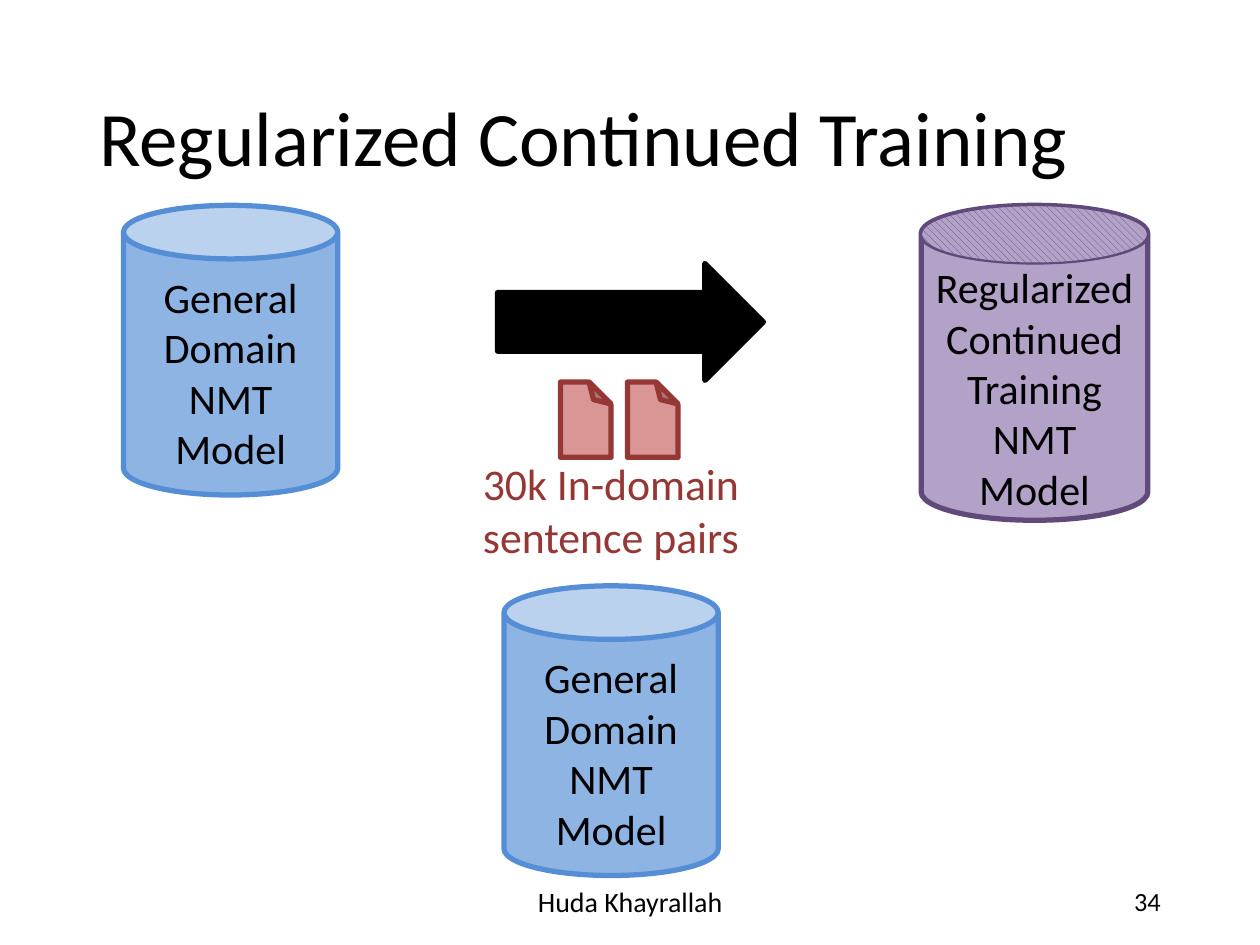
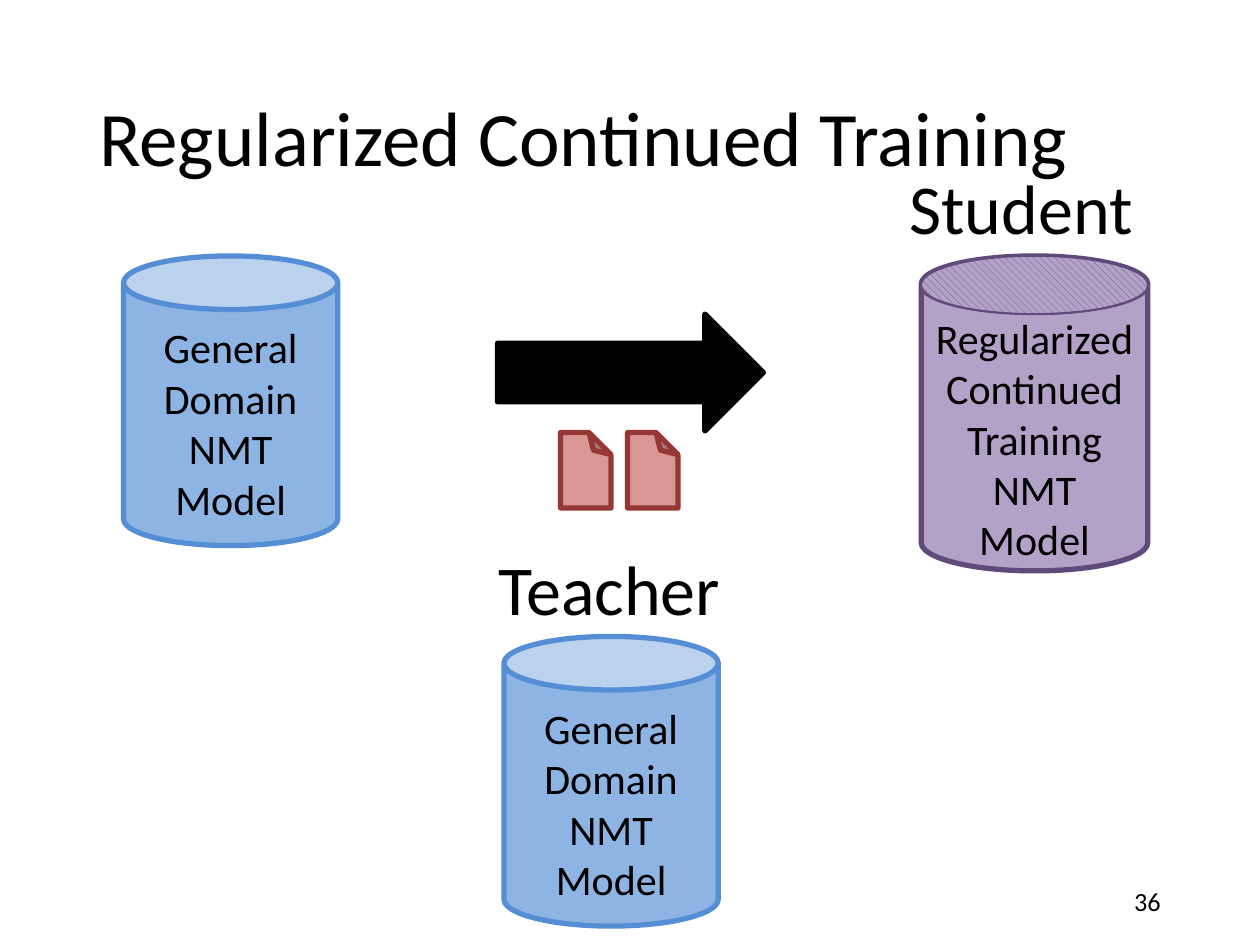
from lxml.etree import SubElement
from pptx import Presentation
from pptx.dml.color import RGBColor
from pptx.enum.dml import MSO_PATTERN
from pptx.enum.shapes import MSO_SHAPE
from pptx.enum.text import MSO_ANCHOR, PP_ALIGN
from pptx.oxml.ns import qn
from pptx.util import Cm, Pt

FONT = "Calibri"
BLACK = "000000"
BLUE, BLUE_EDGE = "8EB4E3", "558ED5"
PURPLE, PURPLE_EDGE = "B3A2C7", "604A7B"
RED, RED_EDGE = "D99694", "953735"

CAN_WIDTH, CAN_HEIGHT = 4.32, 5.84
TEACHER_LEFT, TEACHER_DROP = 10.16, 7.67
STUDENT_LEFT = 18.57
LABEL_HEIGHT = 1.96
GENERAL_MODEL = ["General Domain", "NMT", "Model"]
REGULARIZED_MODEL = ["Regularized", "Continued Training", "NMT", "Model"]


def color(hex_value):
    """Turn a hex string into a colour."""
    return RGBColor.from_string(hex_value)


def write(shape, lines, size, text_color=BLACK, align=PP_ALIGN.CENTER,
          anchor=MSO_ANCHOR.MIDDLE, wrap=True, line_spacing=None):
    """Write one paragraph for each line into a shape."""
    frame = shape.text_frame
    frame.word_wrap = wrap
    frame.vertical_anchor = anchor
    for index, line in enumerate(lines):
        paragraph = frame.add_paragraph() if index else frame.paragraphs[0]
        paragraph.alignment = align
        if line_spacing:
            paragraph.line_spacing = line_spacing
        run = paragraph.add_run()
        run.text = line
        run.font.name = FONT
        run.font.size = Pt(size)
        run.font.color.rgb = color(text_color)


def add_text(slide, box, lines, size, **style):
    """Add a text box."""
    text_box = slide.shapes.add_textbox(*map(Cm, box))
    write(text_box, lines, size, **style)


def add_preset(slide, kind, box, fill, edge, edge_width=3):
    """Add a filled and outlined preset shape."""
    shape = slide.shapes.add_shape(kind, *map(Cm, box))
    shape.shadow.inherit = False
    shape.fill.solid()
    shape.fill.fore_color.rgb = color(fill)
    shape.line.color.rgb = color(edge)
    shape.line.width = Pt(edge_width)
    return shape


def add_model(slide, box, lines, fill, edge, top_inset):
    """Add a model cylinder with its name."""
    can = add_preset(slide, MSO_SHAPE.CAN, box, fill, edge)
    can.text_frame.margin_top = Cm(top_inset)
    write(can, lines, 24)


def add_general_model(slide, left, top):
    """Add the general domain model."""
    add_model(slide, (left, top, CAN_WIDTH, CAN_HEIGHT), GENERAL_MODEL, BLUE, BLUE_EDGE, 0.47)


def add_regularized_model(slide, left, top):
    """Add the regularized model with its hatched lid."""
    width = 4.57
    add_model(slide, (left, top, width, 6.35), REGULARIZED_MODEL, PURPLE, PURPLE_EDGE, 0.56)
    lid = add_preset(slide, MSO_SHAPE.OVAL, (left, top, width, 1.17), PURPLE, PURPLE_EDGE, 1)
    lid.fill.patterned()
    lid.fill.pattern = MSO_PATTERN.WIDE_DOWNWARD_DIAGONAL
    lid.fill.fore_color.rgb = color(PURPLE_EDGE)
    lid.fill.back_color.rgb = color(PURPLE)


def add_document(slide, left, top):
    """Add a page with its top right corner folded."""
    page = add_preset(slide, MSO_SHAPE.FOLDED_CORNER, (left, top, 1.02, 1.52), RED, RED_EDGE)
    page.rotation = 180
    properties = page.element.spPr
    properties.find(qn("a:xfrm")).set("flipH", "1")
    adjustments = properties.find(qn("a:prstGeom")).find(qn("a:avLst"))
    SubElement(adjustments, qn("a:gd"), name="adj", fmla="val 43500")


def add_training_diagram(slide, top):
    """Draw the training flow below the given top."""
    add_preset(slide, MSO_SHAPE.RIGHT_ARROW, (10.03, top + 1.17, 5.36, 2.36), BLACK, BLACK)
    add_general_model(slide, 2.49, top)
    add_general_model(slide, TEACHER_LEFT, top + TEACHER_DROP)
    for left in (12.65, 11.3):
        add_document(slide, left, top + 3.56)
    add_regularized_model(slide, STUDENT_LEFT, top)


def add_corpus_label(slide, top):
    """Name the training data under the documents."""
    add_text(slide, (8.71, top + 4.95, 7.21, 2.39), ["30k In-domain", "sentence pairs"], 25,
             text_color=RED_EDGE, anchor=MSO_ANCHOR.TOP)


def add_role_labels(slide, top):
    """Name the teacher and student models above their cylinders."""
    roles = (("Teacher", TEACHER_LEFT - 0.36, top + TEACHER_DROP),
             ("Student", STUDENT_LEFT - 0.49, top))
    for role, left, model_top in roles:
        add_text(slide, (left, model_top - LABEL_HEIGHT, 5.03, LABEL_HEIGHT), [role], 40,
                 align=PP_ALIGN.LEFT, anchor=MSO_ANCHOR.TOP, wrap=False)


def add_training_slide(presentation, number, top):
    """Add a slide with title, number and training diagram."""
    slide = presentation.slides.add_slide(presentation.slide_layouts[6])
    add_text(slide, (1.75, 1.02, 21.9, 3.68), ["Regularized Continued Training"], 44,
             align=PP_ALIGN.LEFT, line_spacing=0.9)
    add_training_diagram(slide, top)
    add_text(slide, (17.93, 17.65, 5.72, 1.02), [number], 15, align=PP_ALIGN.RIGHT)
    return slide


def main():
    """Build and save both slides."""
    presentation = Presentation()
    presentation.slide_width = Cm(25.4)
    presentation.slide_height = Cm(19.05)

    data_top = 4.14
    data_slide = add_training_slide(presentation, "34", data_top)
    add_corpus_label(data_slide, data_top)
    add_text(data_slide, (8.41, 17.65, 8.59, 1.02), ["Huda Khayrallah"], 16)

    roles_top = 5.16
    roles_slide = add_training_slide(presentation, "36", roles_top)
    add_role_labels(roles_slide, roles_top)

    presentation.save("out.pptx")


if __name__ == "__main__":
    main()
